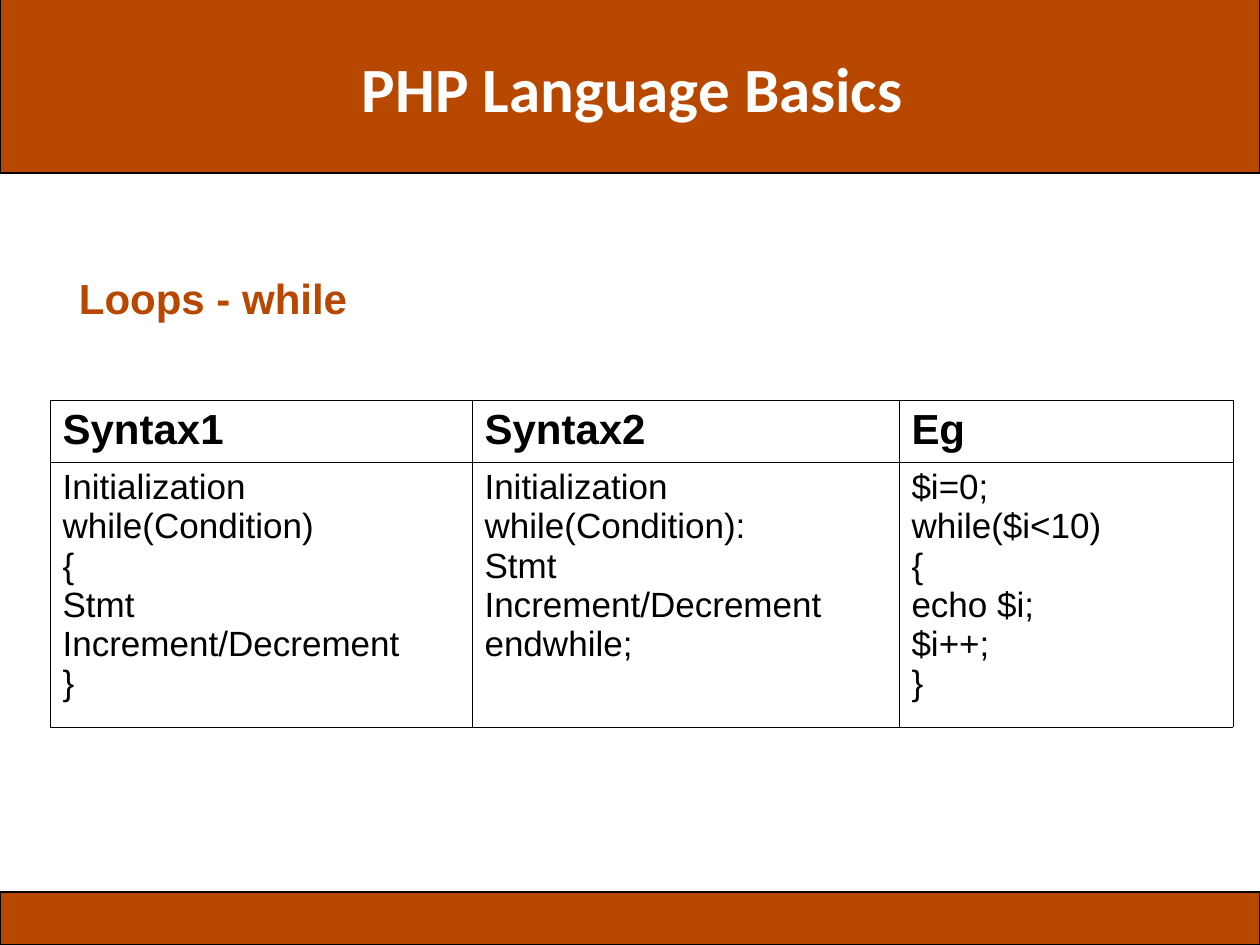
from dataclasses import dataclass

from lxml.etree import SubElement
from pptx import Presentation
from pptx.dml.color import RGBColor
from pptx.enum.shapes import MSO_SHAPE
from pptx.enum.text import MSO_ANCHOR, MSO_AUTO_SIZE, PP_ALIGN
from pptx.oxml.ns import qn
from pptx.util import Emu, Pt


@dataclass(frozen=True)
class Theme:
    accent: RGBColor = RGBColor(0xB8, 0x47, 0x00)
    ink: RGBColor = RGBColor(0, 0, 0)
    paper: RGBColor = RGBColor(0xFF, 0xFF, 0xFF)
    title_font: str = "Calibri"
    body_font: str = "Arial"
    title_size: int = 36
    heading_size: int = 24
    code_size: int = 20
    line_spacing: float = 0.93
    band_line: float = 1
    border: float = 0.06


@dataclass(frozen=True)
class Box:
    left: int
    top: int
    width: int
    height: int


@dataclass(frozen=True)
class SyntaxColumn:
    heading: str
    code: str
    width: int


THEME = Theme()
PX_PER_INCH = 126
BANDS = [Box(0, -25, 1260, 198), Box(0, 892, 1260, 53)]
TITLE_BOX = Box(248, 55, 769, 73)
TOPIC_BOX = Box(32, 277, 1159, 634)
TABLE_LEFT, TABLE_TOP = 50, 400
ROW_HEIGHTS = [62, 265]
COLUMNS = [
    SyntaxColumn(
        "Syntax1",
        "Initialization\nwhile(Condition)\n{\nStmt\nIncrement/Decrement\n}",
        422,
    ),
    SyntaxColumn(
        "Syntax2",
        "Initialization\nwhile(Condition):\nStmt\nIncrement/Decrement\nendwhile;",
        427,
    ),
    SyntaxColumn("Eg", "$i=0;\nwhile($i<10)\n{\necho $i;\n$i++;\n}", 334),
]


def px(length: int) -> Emu:
    return Emu(round(length * 914400 / PX_PER_INCH))


def place(box: Box) -> tuple[Emu, Emu, Emu, Emu]:
    return px(box.left), px(box.top), px(box.width), px(box.height)


def format_text(frame, font_name: str, size: int, color: RGBColor, bold: bool) -> None:
    for paragraph in frame.paragraphs:
        for run in paragraph.runs:
            run.font.name = font_name
            run.font.size = Pt(size)
            run.font.bold = bold
            run.font.color.rgb = color


def draw_band(slide, box: Box) -> None:
    band = slide.shapes.add_shape(MSO_SHAPE.RECTANGLE, *place(box))
    band.shadow.inherit = False
    band.fill.solid()
    band.fill.fore_color.rgb = THEME.accent
    band.line.color.rgb = THEME.ink
    band.line.width = Pt(THEME.band_line)
    band.element.getparent().insert(2, band.element)


def fill_placeholder(placeholder, box: Box, text: str):
    placeholder.left, placeholder.top, placeholder.width, placeholder.height = place(box)
    frame = placeholder.text_frame
    frame.text = text
    frame.word_wrap = True
    frame.auto_size = MSO_AUTO_SIZE.NONE
    frame.margin_left = frame.margin_top = frame.margin_right = frame.margin_bottom = 0
    paragraph = frame.paragraphs[0]
    paragraph.line_spacing = THEME.line_spacing
    paragraph.space_before = Pt(0)
    return frame


def add_borders(cell) -> None:
    properties = cell._tc.get_or_add_tcPr()
    for side in ("lnL", "lnR", "lnT", "lnB"):
        border = SubElement(properties, qn(f"a:{side}"), w=str(Pt(THEME.border)))
        fill = SubElement(border, qn("a:solidFill"))
        SubElement(fill, qn("a:srgbClr"), val=str(THEME.ink))


def fill_cell(cell, text: str, size: int, bold: bool) -> None:
    cell.text_frame.text = text
    format_text(cell.text_frame, THEME.body_font, size, THEME.ink, bold)
    add_borders(cell)
    cell.fill.background()


def draw_syntax_table(slide) -> None:
    table_box = Box(
        TABLE_LEFT, TABLE_TOP, sum(column.width for column in COLUMNS), sum(ROW_HEIGHTS)
    )
    table = slide.shapes.add_table(
        len(ROW_HEIGHTS), len(COLUMNS), *place(table_box)
    ).table
    table.horz_banding = False
    for row, height in zip(table.rows, ROW_HEIGHTS):
        row.height = px(height)
    for index, column in enumerate(COLUMNS):
        table.columns[index].width = px(column.width)
        fill_cell(table.cell(0, index), column.heading, THEME.heading_size, True)
        fill_cell(table.cell(1, index), column.code, THEME.code_size, False)


def main() -> None:
    presentation = Presentation()
    presentation.slide_width, presentation.slide_height = px(1260), px(945)
    slide = presentation.slides.add_slide(presentation.slide_layouts[1])
    slide.background.fill.solid()
    slide.background.fill.fore_color.rgb = THEME.paper

    for band in BANDS:
        draw_band(slide, band)

    title = fill_placeholder(slide.shapes.title, TITLE_BOX, "PHP Language Basics")
    title.vertical_anchor = MSO_ANCHOR.MIDDLE
    title.paragraphs[0].alignment = PP_ALIGN.CENTER
    format_text(title, THEME.title_font, THEME.title_size, THEME.paper, True)

    topic = fill_placeholder(slide.placeholders[1], TOPIC_BOX, "Loops - while")
    topic.vertical_anchor = MSO_ANCHOR.TOP
    topic_properties = topic.paragraphs[0]._p.get_or_add_pPr()
    topic_properties.set("marL", str(px(47)))
    topic_properties.set("indent", "0")
    SubElement(topic_properties, qn("a:buNone"))
    format_text(topic, THEME.body_font, THEME.heading_size, THEME.accent, True)

    draw_syntax_table(slide)
    presentation.save("out.pptx")


if __name__ == "__main__":
    main()
